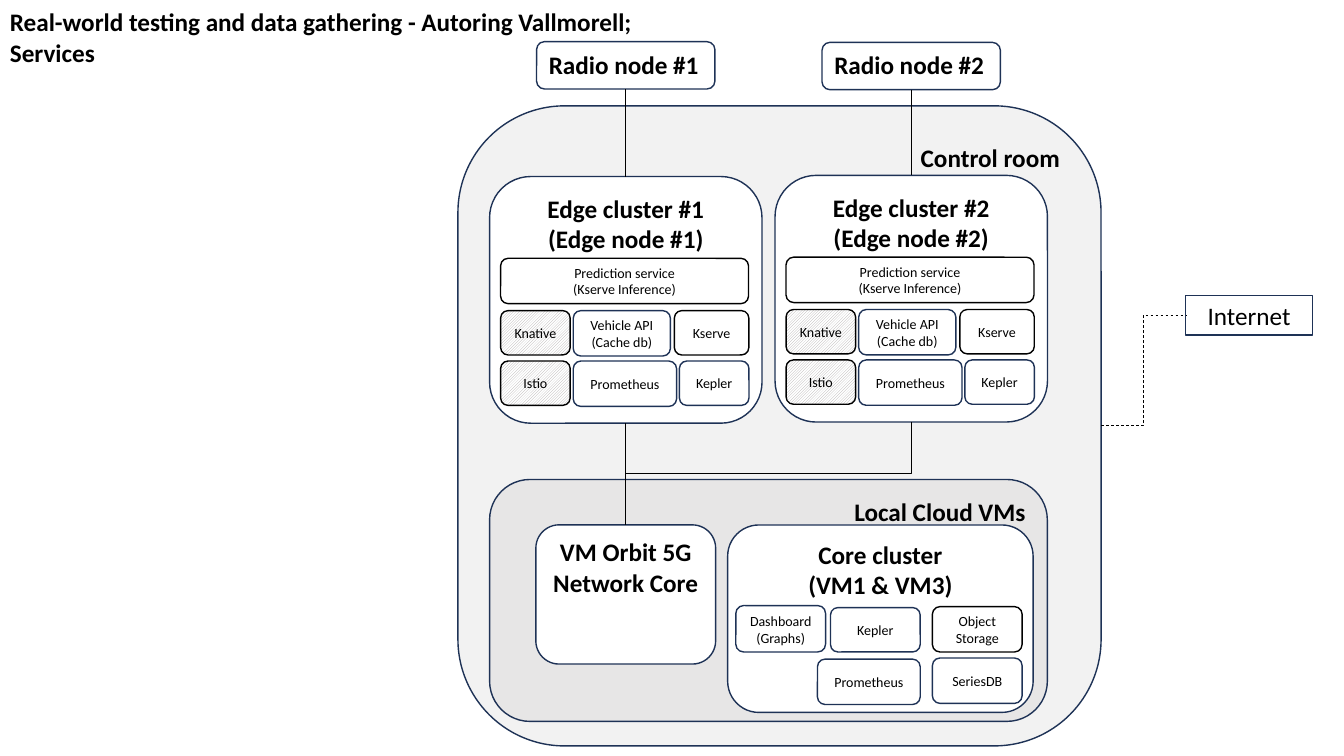
from dataclasses import dataclass

from lxml.etree import SubElement
from pptx import Presentation
from pptx.dml.color import RGBColor
from pptx.enum.dml import MSO_LINE, MSO_PATTERN
from pptx.enum.shapes import MSO_CONNECTOR as Link, MSO_SHAPE as Preset
from pptx.enum.text import MSO_ANCHOR as Anchor, MSO_AUTO_SIZE, PP_ALIGN as Align
from pptx.oxml.ns import qn
from pptx.util import Pt


@dataclass(frozen=True)
class Theme:
    font: str = "Calibri"
    heading: int = 18
    label: int = 10
    outline: float = 1
    wire: float = 0.5
    navy: str = "1E3256"
    black: str = "000000"
    white: str = "FFFFFF"
    room: str = "F2F2F2"
    cloud: str = "E7E6E6"
    hatch: str = "AFABAB"


THEME = Theme()
SLIDE_SIZE = (960, 540)
HATCHED = "hatched"

TITLE = "Real-world testing and data gathering - Autoring Vallmorell; Services"
TITLE_BOX = (0, 1.2, 480.2, 51.1)

# Boxes are left, top, width, height
ROOM_BOX = (327.1, 75.6, 459.4, 457.2)
CLOUD_BOX = (349.7, 342.5, 398.4, 172.8)
NETWORK_CORE_BOX = (382.8, 374.9, 128.4, 99.4)
CORE_CLUSTER_BOX = (519.8, 375, 218.2, 133.9)
INTERNET_BOX = (846.9, 211.2, 90.7, 28.1)
RADIO_BOX = (383.3, 29.8, 127.4, 33.8)
EDGE_BOX = (349.7, 126.1, 194.6, 176.2)

# Sites: number, shift across, shift down of radio node, shift down of edge cluster
SITES = [(1, 0, 0, 0), (2, 203.9, 0.5, -0.8)]

# Services: lines, box inside the cluster, line colour, fill
EDGE_SERVICES = [
    (["Vehicle API", "(Cache db)"], (59.8, 95.8, 69.4, 32.4), THEME.navy, None),
    (["Prometheus"], (59.8, 131.8, 73.8, 32.4), THEME.navy, None),
    (["Prediction service", "(Kserve Inference)"], (7.9, 58.4, 177.1, 32.4), THEME.black, None),
    (["Kserve"], (132, 95.8, 53.2, 31.7), THEME.black, None),
    (["Knative"], (7.9, 95.8, 49.7, 31.7), THEME.black, HATCHED),
    (["Istio"], (7.9, 131.8, 49.7, 31.7), THEME.black, HATCHED),
    (["Kepler"], (135.6, 131.8, 49.7, 31.7), THEME.navy, None),
]
CORE_SERVICES = [
    (["Kepler"], (73.4, 59, 64.1, 31.7), THEME.navy, None),
    (["Object Storage"], (146.2, 58.3, 64.1, 32.4), THEME.black, None),
    (["Prometheus"], (64.1, 95.8, 73.4, 32.4), THEME.navy, None),
    (["SeriesDB"], (146.2, 95, 64.1, 32.4), THEME.navy, None),
]
DASHBOARD = (["Dashboard (Graphs)"], (5.8, 57.6, 64.1, 33.1), THEME.navy, None)


def points(values):
    return [Pt(value) for value in values]


def shifted(box, across, down):
    left, top, width, height = box
    return left + across, top + down, width, height


def write(shape, lines, size, bold, align, anchor):
    frame = shape.text_frame
    frame.word_wrap = True
    frame.vertical_anchor = anchor
    for index, line in enumerate(lines):
        paragraph = frame.add_paragraph() if index else frame.paragraphs[0]
        paragraph.alignment = align
        run = paragraph.add_run()
        run.text = line
        run.font.name = THEME.font
        run.font.size = Pt(size)
        run.font.bold = bold
        run.font.color.rgb = RGBColor.from_string(THEME.black)


def add_box(shapes, box, lines, fill=None, line=THEME.navy, size=THEME.heading, bold=True,
            align=Align.CENTER, anchor=Anchor.TOP, preset=Preset.ROUNDED_RECTANGLE):
    shape = shapes.add_shape(preset, *points(box))
    shape.shadow.inherit = False
    if fill is None:
        shape.fill.background()
    elif fill == HATCHED:
        shape.fill.patterned()
        shape.fill.pattern = MSO_PATTERN.LIGHT_UPWARD_DIAGONAL
        shape.fill.fore_color.rgb = RGBColor.from_string(THEME.hatch)
        shape.fill.back_color.rgb = RGBColor.from_string(THEME.white)
    else:
        shape.fill.solid()
        shape.fill.fore_color.rgb = RGBColor.from_string(fill)
    shape.line.color.rgb = RGBColor.from_string(line)
    shape.line.width = Pt(THEME.outline)
    write(shape, lines, size, bold, align, anchor)
    return shape


def add_service(shapes, cluster_box, service, anchor=Anchor.MIDDLE):
    lines, box, line, fill = service
    add_box(shapes, shifted(box, *cluster_box[:2]), lines, fill, line,
            THEME.label, False, anchor=anchor)


def add_wire(shapes, kind, ends=(0, 0, 0, 0)):
    wire = shapes.add_connector(kind, *ends)
    wire.line.color.rgb = RGBColor.from_string(THEME.black)
    wire.line.width = Pt(THEME.wire)
    SubElement(wire._element.spPr, qn("a:effectLst"))
    return wire


def join(shapes, start, start_side, end, end_side, kind=Link.STRAIGHT):
    wire = add_wire(shapes, kind)
    wire.begin_connect(start, start_side)
    wire.end_connect(end, end_side)
    return wire


def add_upward_elbow(shapes, lower, upper):
    """Run up from the lower shape's top, across, and up to the upper shape's bottom."""
    x1, y1 = lower.left + lower.width // 2, lower.top
    x2, y2 = upper.left + upper.width // 2, upper.top + upper.height
    middle_x, middle_y = (x1 + x2) // 2, (y1 + y2) // 2
    half_rise, half_run = (y1 - y2) // 2, (x2 - x1) // 2
    # The frame is laid out sideways, then turned a quarter clockwise
    wire = add_wire(shapes, Link.ELBOW, (middle_x + half_rise, middle_y + half_run,
                                         middle_x - half_rise, middle_y - half_run))
    wire._element.spPr.find(qn("a:xfrm")).set("rot", str(90 * 60000))


def main():
    presentation = Presentation()
    presentation.slide_width, presentation.slide_height = points(SLIDE_SIZE)
    slide = presentation.slides.add_slide(presentation.slide_layouts[6])
    shapes = slide.shapes

    room = add_box(shapes, ROOM_BOX, ["Control room"], THEME.room, align=Align.RIGHT)
    add_box(shapes, CLOUD_BOX, ["Local Cloud VMs"], THEME.cloud, align=Align.RIGHT)
    network_core = add_box(shapes, NETWORK_CORE_BOX, ["VM Orbit 5G", "Network Core"], THEME.white)
    add_box(shapes, CORE_CLUSTER_BOX, ["Core cluster", "(VM1 & VM3)"], THEME.white)
    internet = add_box(shapes, INTERNET_BOX, ["Internet"], bold=False,
                       anchor=Anchor.MIDDLE, preset=Preset.RECTANGLE)
    add_service(shapes, CORE_CLUSTER_BOX, DASHBOARD, Anchor.TOP)
    for service in CORE_SERVICES:
        add_service(shapes, CORE_CLUSTER_BOX, service)

    edges = []
    for number, across, radio_down, edge_down in SITES:
        radio = add_box(shapes, shifted(RADIO_BOX, across, radio_down),
                        [f"Radio node #{number}"], align=Align.LEFT)
        edge_box = shifted(EDGE_BOX, across, edge_down)
        group = shapes.add_group_shape()
        edge = add_box(group.shapes, edge_box,
                       [f"Edge cluster #{number}", f"(Edge node #{number})"], THEME.white)
        for service in EDGE_SERVICES:
            add_service(group.shapes, edge_box, service)
        join(shapes, radio, 2, edge, 0)
        edges.append(edge)

    join(shapes, network_core, 0, edges[0], 2)
    add_upward_elbow(shapes, network_core, edges[1])
    uplink = join(shapes, room, 3, internet, 1, Link.ELBOW)
    uplink.line.dash_style = MSO_LINE.DASH

    title = shapes.add_textbox(*points(TITLE_BOX))
    write(title, [TITLE], THEME.heading, True, Align.LEFT, Anchor.TOP)
    title.text_frame.auto_size = MSO_AUTO_SIZE.SHAPE_TO_FIT_TEXT

    presentation.save("out.pptx")


if __name__ == "__main__":
    main()
